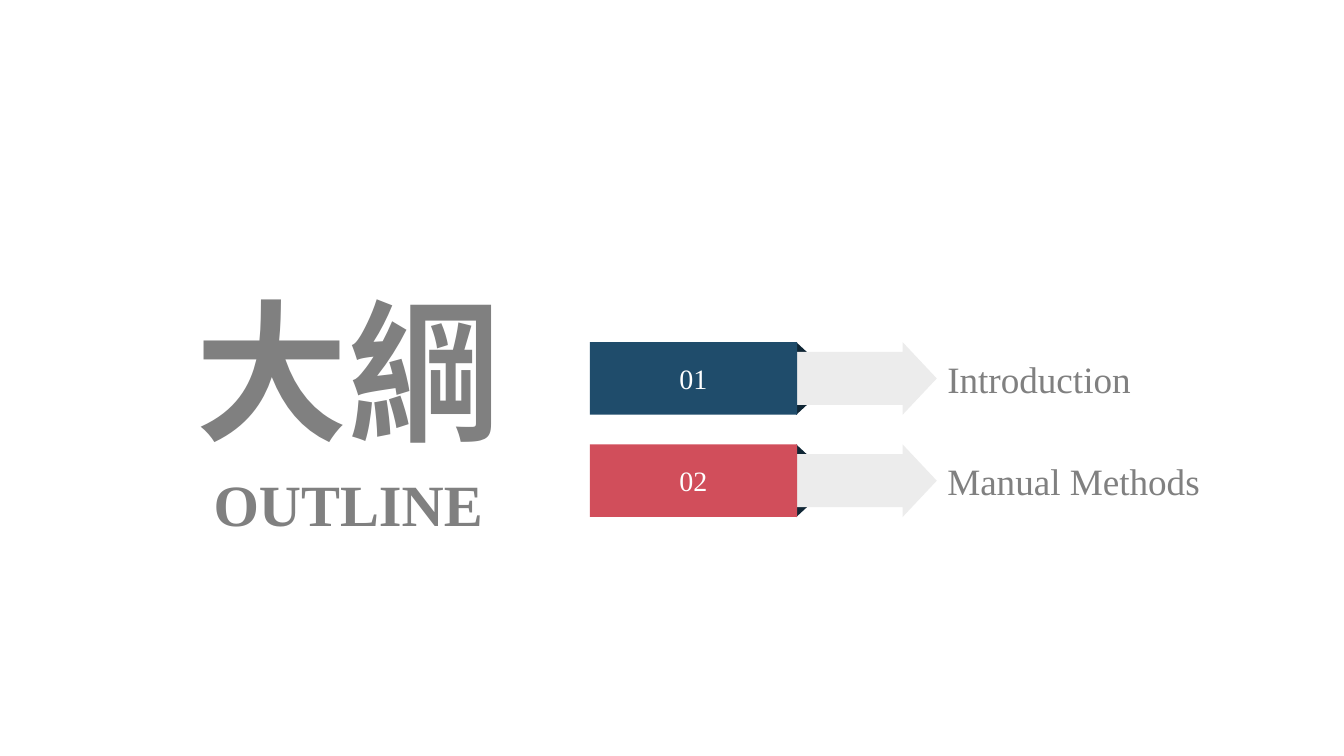
from pptx import Presentation
from pptx.dml.color import RGBColor
from pptx.enum.shapes import MSO_SHAPE as Preset
from pptx.enum.text import MSO_ANCHOR as Anchor, PP_ALIGN as Align
from pptx.util import Inches, Pt

# Content
TITLES = [
    # text, size, box (left, top, width, height), anchor
    ("大綱", 115, (1.96, 2.88, 3.37, 1.94), Anchor.MIDDLE),
    ("OUTLINE", 44, (1.84, 4.9, 3.61, 0.74), Anchor.TOP),
]
SECTIONS = [
    ("01", "Introduction", "navy"),
    ("02", "Manual Methods", "red"),
]
COLORS = {
    "navy": "1F4C6B",
    "red": "D14E5B",
    "fold": "102635",
    "arrow": "ECECEC",
    "grey": "808080",
    "white": "FFFFFF",
}
FONT = "Times New Roman"

# Layout in inches
ROW_TOP, ROW_STEP, ROW_HEIGHT = 3.58, 1.07, 0.76
BANNER_LEFT, BANNER_WIDTH = 6.17, 2.17
ARROW_LEFT, ARROW_WIDTH = 7.37, 2.43
FOLD_LEFT, FOLD_WIDTH, FOLD_HEIGHT = 8.33, 0.13, 0.12
LABEL_LEFT, LABEL_WIDTH, LABEL_HEIGHT = 9.91, 4.1, 0.47

presentation = Presentation()
presentation.slide_width = Inches(14.06)
presentation.slide_height = Inches(7.91)
slide = presentation.slides.add_slide(presentation.slide_layouts[6])


def add_block(preset, box, color):
    shape = slide.shapes.add_shape(preset, *map(Inches, box))
    shape.shadow.inherit = False
    shape.fill.solid()
    shape.fill.fore_color.rgb = RGBColor.from_string(COLORS[color])
    shape.line.fill.background()
    return shape


def write(shape, text, size, color, align=Align.CENTER, anchor=Anchor.MIDDLE, bold=False):
    frame = shape.text_frame
    frame.word_wrap = True
    frame.vertical_anchor = anchor
    frame.margin_left = frame.margin_top = frame.margin_right = frame.margin_bottom = 0
    paragraph = frame.paragraphs[0]
    paragraph.alignment = align
    run = paragraph.add_run()
    run.text = text
    run.font.name = FONT
    run.font.size = Pt(size)
    run.font.bold = bold
    run.font.color.rgb = RGBColor.from_string(COLORS[color])


# Section rows: folds, arrow, numbered banner, label
for index, (number, label, color) in enumerate(SECTIONS):
    top = ROW_TOP + index * ROW_STEP
    fold_bottom = top + ROW_HEIGHT - FOLD_HEIGHT

    lower_fold = add_block(Preset.RIGHT_TRIANGLE,
                           (FOLD_LEFT, fold_bottom, FOLD_WIDTH, FOLD_HEIGHT), "fold")
    lower_fold._element.spPr.xfrm.set("flipV", "1")
    add_block(Preset.RIGHT_TRIANGLE, (FOLD_LEFT, top, FOLD_WIDTH, FOLD_HEIGHT), "fold")

    arrow = add_block(Preset.RIGHT_ARROW, (ARROW_LEFT, top, ARROW_WIDTH, ROW_HEIGHT), "arrow")
    arrow.adjustments[0] = 0.73
    arrow.adjustments[1] = 0.47

    banner = add_block(Preset.RECTANGLE, (BANNER_LEFT, top, BANNER_WIDTH, ROW_HEIGHT), color)
    write(banner, number, 21.1, "white")

    label_top = top + (ROW_HEIGHT - LABEL_HEIGHT) / 2
    label_box = slide.shapes.add_textbox(
        *map(Inches, (LABEL_LEFT, label_top, LABEL_WIDTH, LABEL_HEIGHT)))
    write(label_box, label, 28, "grey", Align.LEFT)

# Titles on the left
for text, size, box, anchor in TITLES:
    title_box = slide.shapes.add_textbox(*map(Inches, box))
    write(title_box, text, size, "grey", anchor=anchor, bold=True)

presentation.save("out.pptx")
